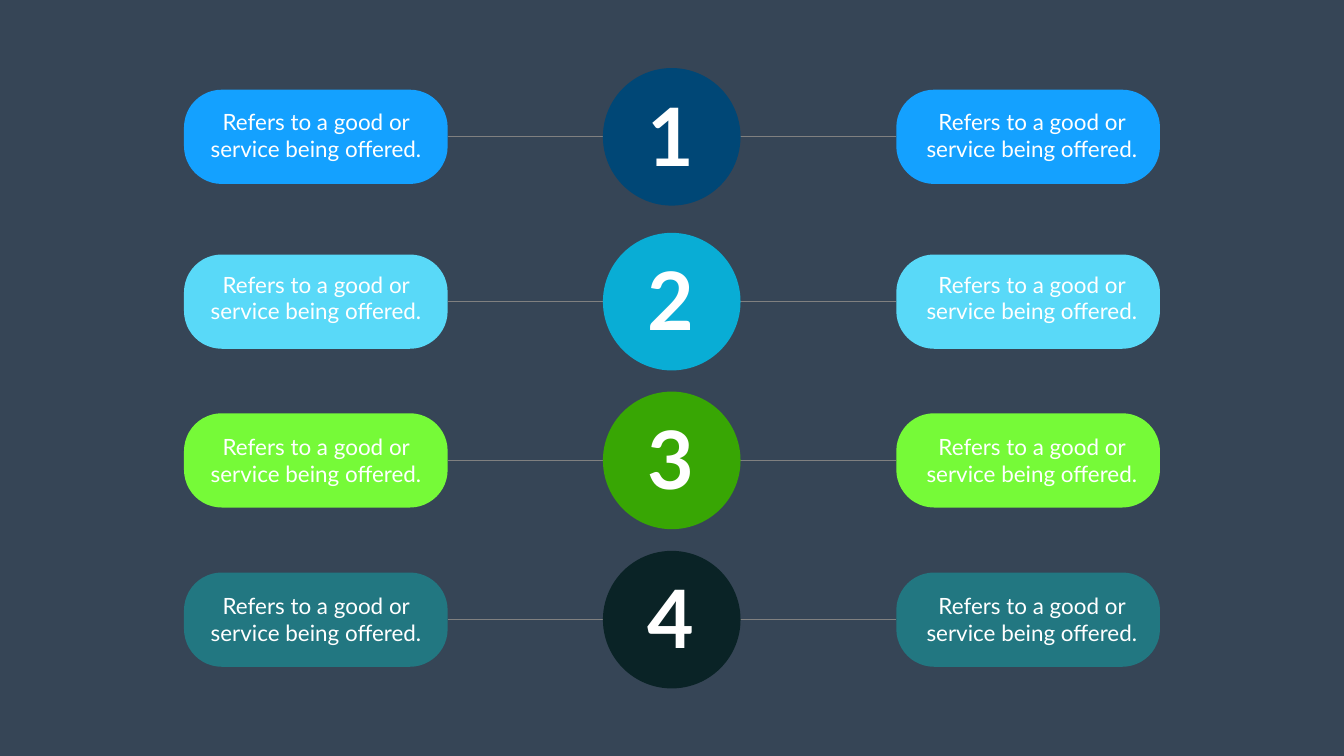
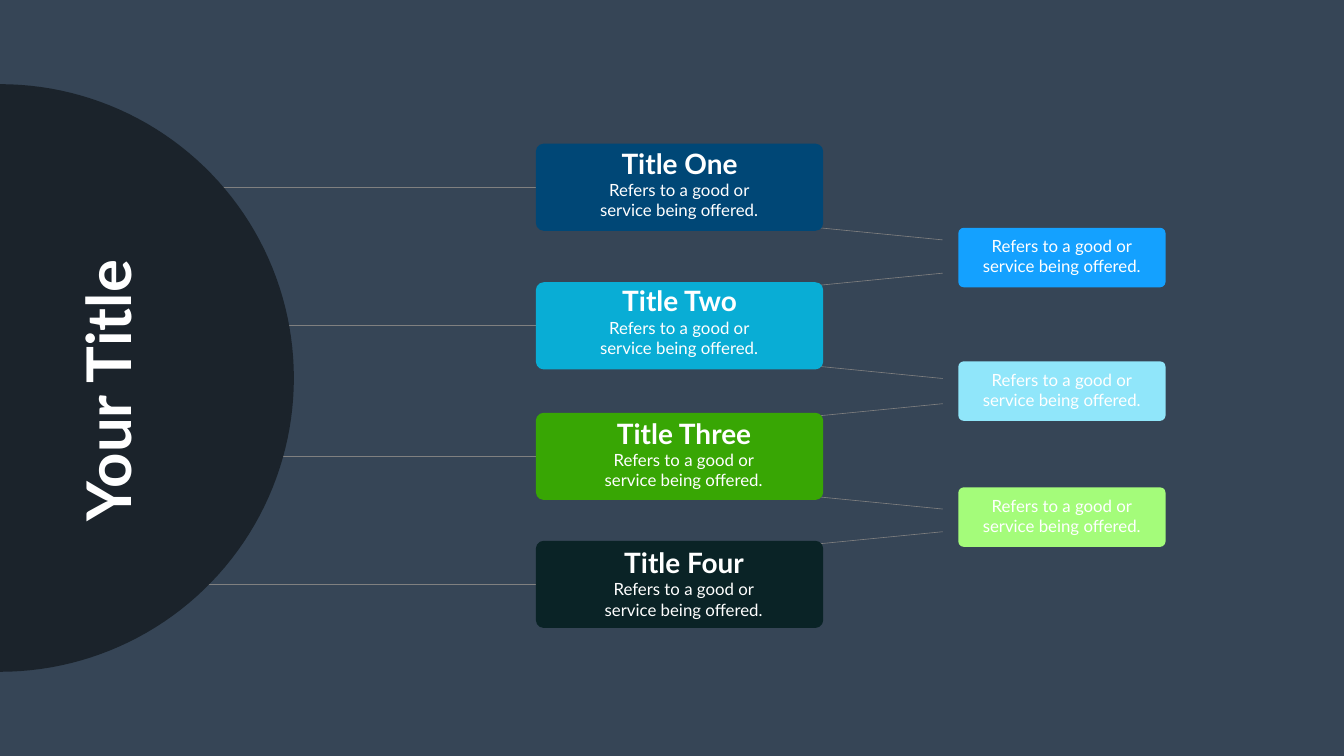
import math
from dataclasses import dataclass

from lxml import etree
from pptx import Presentation
from pptx import util as u
from pptx.dml.color import RGBColor
from pptx.enum import shapes, text
from pptx.oxml.ns import qn

PX = 9144  # EMU in one px; 100 px make an inch
SLIDE_WIDTH, SLIDE_HEIGHT = 2666, 1500
FONT = "Lato"
BACKGROUND, WHITE, GREY, CHARCOAL = "364556", "FFFFFF", "808080", "1B232B"
BLUE, CYAN, GREEN, NIGHT = "004776", "09ADD5", "38A604", "0A2326"
SKY = "14A1FF"
DESCRIPTION = "Refers to a good or service being offered."

CIRCLE_SIZE, CIRCLE_CENTER = 273, 1332
PILL_WIDTH, PILL_HEIGHT = 523, 187
LEFT_PILL, RIGHT_PILL = 365, 1778
CARD_LEFT, CARD_WIDTH, CARD_HEIGHT = 1063, 570, 173
NOTE_LEFT, NOTE_WIDTH, NOTE_HEIGHT = 1901, 411, 118
BRANCH_START, BRANCH_END = 1625, 1870
DISC_RADIUS = 583


@dataclass(frozen=True)
class Box:
    left: int
    top: int
    width: int
    height: int

    def emu(self) -> list[int]:
        return [px(n) for n in (self.left, self.top, self.width, self.height)]


@dataclass(frozen=True)
class Step:
    center: int
    description_top: int
    circle_color: str
    pill_color: str


@dataclass(frozen=True)
class Card:
    title: str
    top: int
    title_top: int
    text_left: int
    color: str


@dataclass(frozen=True)
class Note:
    top: int
    color: str


STEPS = [
    Step(271, 210, BLUE, SKY),
    Step(598, 532, CYAN, "59D9F8"),
    Step(913, 854, GREEN, "76FA38"),
    Step(1229, 1170, NIGHT, "227781"),
]
CARDS = [
    Card("Title One", 285, 285, 1166, BLUE),
    Card("Title Two", 560, 558, 1166, CYAN),
    Card("Title Three", 819, 821, 1175, GREEN),
    Card("Title Four", 1073, 1077, 1175, NIGHT),
]
NOTES = [Note(452, SKY), Note(717, "90E6FA"), Note(967, "A4FC7A")]


def px(length: int) -> int:
    return length * PX


def paint(fill, color: str) -> None:
    fill.solid()
    fill.fore_color.rgb = RGBColor.from_string(color)


def finish_shape(shape, color: str) -> None:
    """Give a flat fill without outline or shadow."""
    shape.shadow.inherit = False
    paint(shape.fill, color)
    shape.line.fill.background()


def add_oval(slide, box: Box, color: str) -> None:
    shape = slide.shapes.add_shape(shapes.MSO_SHAPE.OVAL, *box.emu())
    finish_shape(shape, color)


def add_rounded(slide, box: Box, color: str, rounding: float) -> None:
    shape = slide.shapes.add_shape(shapes.MSO_SHAPE.ROUNDED_RECTANGLE, *box.emu())
    shape.adjustments[0] = rounding
    finish_shape(shape, color)


def add_half_disc(slide, radius: int, color: str) -> None:
    """Draw the right half of a disc standing on the left slide edge."""
    middle = SLIDE_HEIGHT // 2
    angles = [math.radians(degree) for degree in range(-90, 91, 2)]
    points = [
        (round(px(radius) * math.cos(a)), round(px(middle) + px(radius) * math.sin(a)))
        for a in angles
    ]
    builder = slide.shapes.build_freeform(*points[0])
    builder.add_line_segments(points[1:], close=True)
    finish_shape(builder.convert_to_shape(), color)


def add_line(slide, x1: int, y1: int, x2: int, y2: int) -> None:
    line = slide.shapes.add_connector(
        shapes.MSO_CONNECTOR.STRAIGHT, px(x1), px(y1), px(x2), px(y2)
    )
    paint(line.line.fill, GREY)
    line.line.width = u.Pt(0.88)
    etree.SubElement(line.element.spPr, qn("a:effectLst"))


def write(shape, words: str, size: int, bold: bool = False, wrap: bool = True) -> None:
    frame = shape.text_frame
    frame.text = words
    frame.word_wrap = wrap
    frame.auto_size = text.MSO_AUTO_SIZE.NONE
    frame.vertical_anchor = text.MSO_ANCHOR.TOP
    paragraph = frame.paragraphs[0]
    paragraph.alignment = text.PP_ALIGN.CENTER
    font = paragraph.runs[0].font
    font.name, font.size, font.bold = FONT, u.Pt(size), bold
    font.color.rgb = RGBColor.from_string(WHITE)


def add_label(slide, box: Box, words: str, size: int,
              bold: bool = False, wrap: bool = True) -> None:
    write(slide.shapes.add_textbox(*box.emu()), words, size, bold, wrap)


def build_steps(presentation) -> None:
    slide = presentation.slides.add_slide(presentation.slide_layouts[6])
    for step in STEPS:
        add_line(slide, LEFT_PILL + PILL_WIDTH, step.center, RIGHT_PILL, step.center)
    for number, step in enumerate(STEPS, 1):
        half = CIRCLE_SIZE // 2
        circle = Box(CIRCLE_CENTER - half, step.center - half, CIRCLE_SIZE, CIRCLE_SIZE)
        add_oval(slide, circle, step.circle_color)
        add_label(slide, Box(1273, step.center - 106, 114, 204), str(number), 115,
                  bold=True, wrap=False)
        for pill_left, text_left in ((LEFT_PILL, 402), (RIGHT_PILL, 1822)):
            pill = Box(pill_left, step.center - PILL_HEIGHT // 2, PILL_WIDTH, PILL_HEIGHT)
            add_rounded(slide, pill, step.pill_color, 0.4)
            add_label(slide, Box(text_left, step.description_top, 450, 118),
                      DESCRIPTION, 32)


def build_title_tree(presentation) -> None:
    slide = presentation.slides.add_slide(presentation.slide_layouts[5])
    for upper, lower in zip(CARDS, CARDS[1:]):
        bottom = upper.top + CARD_HEIGHT - 6
        add_line(slide, BRANCH_START, bottom, BRANCH_END, bottom + 24)
        add_line(slide, BRANCH_START, lower.top + 6, BRANCH_END, lower.top - 18)
    for card in CARDS:
        middle = card.top + CARD_HEIGHT // 2
        add_line(slide, 53, middle, CARD_LEFT, middle)
    add_half_disc(slide, DISC_RADIUS, CHARCOAL)

    title = slide.shapes.title
    title.left, title.top, title.width, title.height = Box(-114, 696, 654, 158).emu()
    title.rotation = 270
    write(title, "Your Title", 88, bold=True)
    title.element.getparent().append(title.element)  # in front of the half disc

    for card in CARDS:
        add_rounded(slide, Box(CARD_LEFT, card.top, CARD_WIDTH, CARD_HEIGHT),
                    card.color, 0.09)
        add_label(slide, Box(card.text_left + 51, card.title_top, 262, 77),
                  card.title, 40, bold=True, wrap=False)
        add_label(slide, Box(card.text_left, card.title_top + 67, 362, 91),
                  DESCRIPTION, 24)
    for note in NOTES:
        add_rounded(slide, Box(NOTE_LEFT, note.top, NOTE_WIDTH, NOTE_HEIGHT),
                    note.color, 0.09)
        add_label(slide, Box(NOTE_LEFT + 24, note.top + 11, 362, 91), DESCRIPTION, 24)


def main() -> None:
    presentation = Presentation()
    presentation.slide_width, presentation.slide_height = px(SLIDE_WIDTH), px(SLIDE_HEIGHT)
    paint(presentation.slide_master.background.fill, BACKGROUND)
    build_steps(presentation)
    build_title_tree(presentation)
    presentation.save("out.pptx")


if __name__ == "__main__":
    main()
